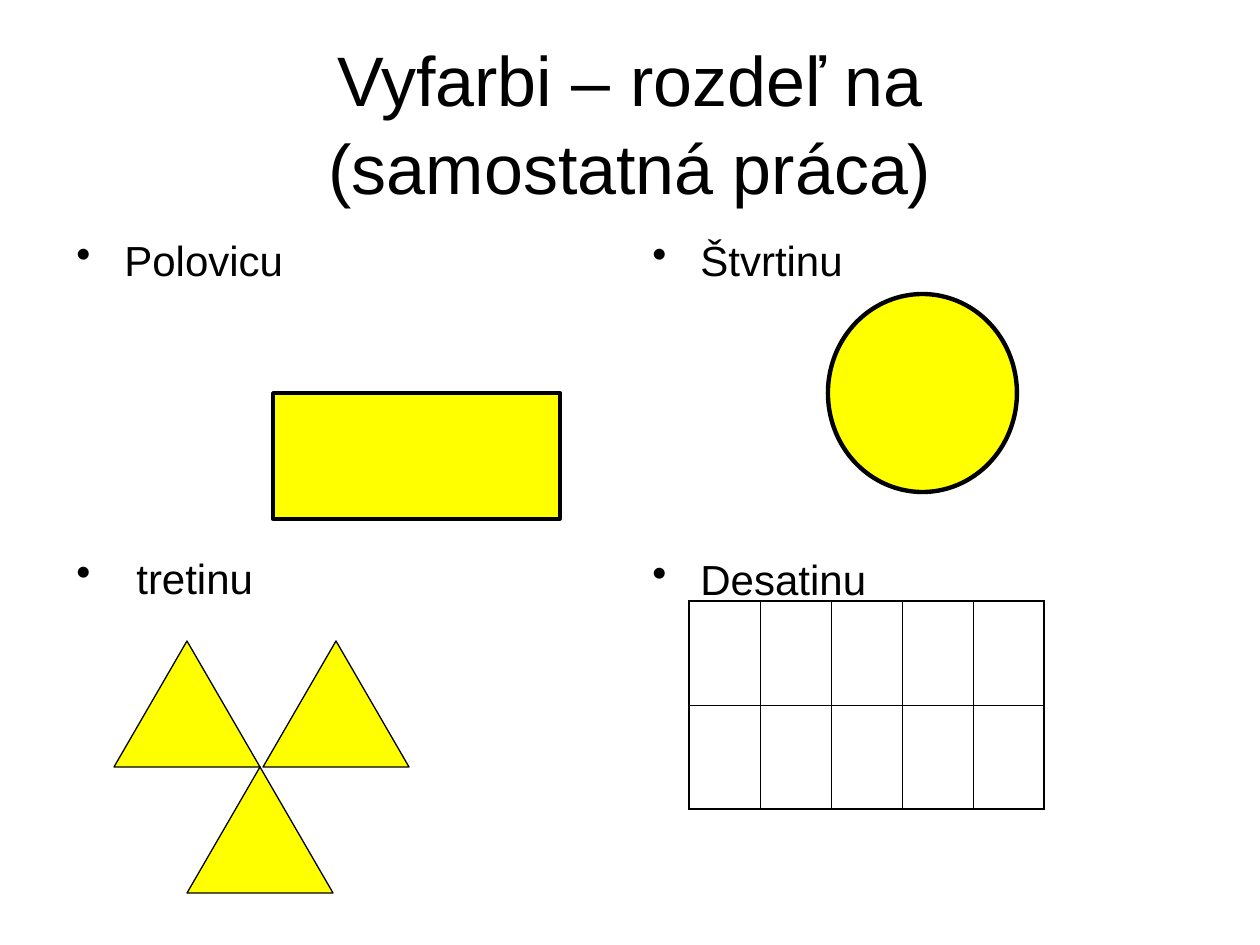
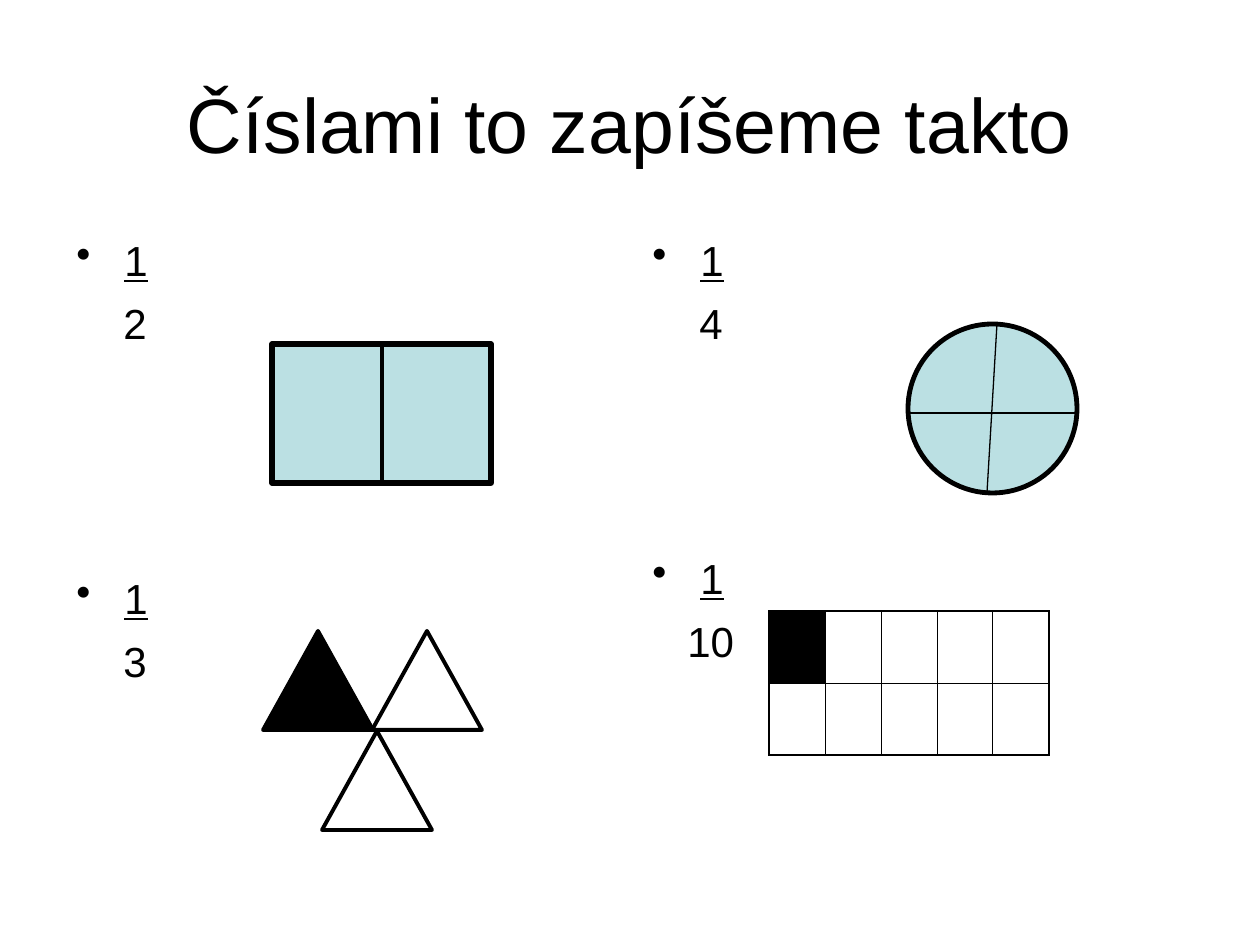
from pptx import Presentation
from pptx.dml.color import RGBColor
from pptx.enum.shapes import MSO_CONNECTOR, MSO_SHAPE
from pptx.enum.text import MSO_ANCHOR, PP_ALIGN
from pptx.oxml import parse_xml
from pptx.oxml.ns import nsdecls
from pptx.util import Pt

PX = 914400 / 126
BLACK = RGBColor(0x00, 0x00, 0x00)
WHITE = RGBColor(0xFF, 0xFF, 0xFF)
YELLOW = RGBColor(0xFF, 0xFF, 0x00)
PALE_BLUE = RGBColor(0xBB, 0xE0, 0xE3)

# Shared layout, in px
TITLE_BOX = (63, 38, 1134, 158)
LEFT_COLUMN, RIGHT_COLUMN, TOP_ROW = 64, 640, 224
ANSWER_WIDTH, ANSWER_HEIGHT = 557, 301
BULLET_INDENT = 48
LINE_SPACING = 1.05
COLUMNS, ROWS = 5, 2
OUTER_BORDER, INNER_BORDER = 1.08, 0.45

RECTANGLE, OVAL = MSO_SHAPE.RECTANGLE, MSO_SHAPE.OVAL
TRIANGLE = MSO_SHAPE.ISOSCELES_TRIANGLE

# Answers: left, top, lines of (text, indent, bulleted, underlined)
# Figures: kind, box, fill, line width
# Dividers: start x, start y, end x, end y, line width
# Grid: left, top, column width, row height, first cell fill, other fill
PAGES = [
    {
        "title": ["Vyfarbi – rozdeľ na", "(samostatná práca)"],
        "title_size": 40,
        "answers": [
            (LEFT_COLUMN, TOP_ROW, [("Polovicu", BULLET_INDENT, True, False)]),
            (RIGHT_COLUMN, TOP_ROW, [("Štvrtinu", BULLET_INDENT, True, False)]),
            (LEFT_COLUMN, 542, [("tretinu", 60, True, False)]),
            (RIGHT_COLUMN, 543, [("Desatinu", BULLET_INDENT, True, False)]),
        ],
        "figures": [
            (OVAL, (828, 294, 189, 198), YELLOW, 2.5),
            (TRIANGLE, (263, 641, 146, 126), YELLOW, 0.75),
            (TRIANGLE, (114, 641, 146, 126), YELLOW, 0.75),
            (TRIANGLE, (187, 767, 146, 126), YELLOW, 0.75),
            (RECTANGLE, (273, 393, 287, 126), YELLOW, 2),
        ],
        "dividers": [],
        "grid": (689, 601, 71, 104, None, None),
    },
    {
        "title": ["Číslami to zapíšeme takto"],
        "title_size": 44,
        "answers": [
            (left, top, [("1", BULLET_INDENT, True, True),
                         (denominator, indent, False, False)])
            for left, top, denominator, indent in [
                (LEFT_COLUMN, TOP_ROW, "2", 47),
                (RIGHT_COLUMN, TOP_ROW, "4", 47),
                (LEFT_COLUMN, 562, "3", 47),
                (RIGHT_COLUMN, 542, "10", 35),
            ]
        ],
        "figures": [
            (RECTANGLE, (272, 344, 219, 139), PALE_BLUE, 3),
            (OVAL, (908, 324, 169, 169), PALE_BLUE, 2.75),
            (TRIANGLE, (322, 731, 110, 99), WHITE, 2.25),
            (TRIANGLE, (372, 631, 110, 99), WHITE, 2.25),
            (TRIANGLE, (263, 631, 110, 99), BLACK, 2.25),
        ],
        "dividers": [
            (382, 344, 382, 483, 2.5),
            (997, 324, 987, 493, 0.75),
            (908, 413, 1077, 413, 0.75),
        ],
        "grid": (769, 611, 56, 72, BLACK, WHITE),
    },
]


def emu(*lengths):
    return [round(length * PX) for length in lengths]


def add_run(paragraph, text, size, underlined=False):
    run = paragraph.add_run()
    run.text = text
    run.font.name = "Arial"
    run.font.size = Pt(size)
    run.font.color.rgb = BLACK
    run.font.underline = underlined


presentation = Presentation()
presentation.slide_width, presentation.slide_height = emu(1260, 945)

for page in PAGES:
    slide = presentation.slides.add_slide(presentation.slide_layouts[6])

    # Title
    frame = slide.shapes.add_textbox(*emu(*TITLE_BOX)).text_frame
    frame.word_wrap = True
    frame.vertical_anchor = MSO_ANCHOR.MIDDLE
    frame.margin_top, frame.margin_bottom = emu(12, 6)
    paragraph = frame.paragraphs[0]
    paragraph.alignment = PP_ALIGN.CENTER
    paragraph.line_spacing = LINE_SPACING
    for number, line in enumerate(page["title"]):
        if number:
            paragraph.add_line_break()
        add_run(paragraph, line, page["title_size"])

    # Fraction names or numbers
    for left, top, lines in page["answers"]:
        text_box = slide.shapes.add_textbox(
            *emu(left, top, ANSWER_WIDTH, ANSWER_HEIGHT))
        frame = text_box.text_frame
        frame.word_wrap = True
        frame.margin_top = emu(8)[0]
        for number, (text, indent, bulleted, underlined) in enumerate(lines):
            paragraph = frame.add_paragraph() if number else frame.paragraphs[0]
            paragraph.line_spacing = LINE_SPACING
            paragraph.space_before = Pt(6 if number else 0)
            properties = paragraph._p.get_or_add_pPr()
            properties.set("marL", str(emu(indent)[0]))
            properties.set("indent", str(emu(-indent if bulleted else 0)[0]))
            if bulleted:
                properties.append(parse_xml(
                    f'<a:buClr {nsdecls("a")}><a:srgbClr val="{BLACK}"/></a:buClr>'))
                properties.append(parse_xml(f'<a:buChar {nsdecls("a")} char="•"/>'))
            add_run(paragraph, text, 24, underlined)

    # Figures to divide
    for kind, box, fill, width in page["figures"]:
        shape = slide.shapes.add_shape(kind, *emu(*box))
        shape.shadow.inherit = False
        shape.fill.solid()
        shape.fill.fore_color.rgb = fill
        shape.line.color.rgb = BLACK
        shape.line.width = Pt(width)

    # Dividing lines
    for *ends, width in page["dividers"]:
        connector = slide.shapes.add_connector(MSO_CONNECTOR.STRAIGHT, *emu(*ends))
        connector.line.color.rgb = BLACK
        connector.line.width = Pt(width)
        connector._element.spPr.append(parse_xml(f'<a:effectLst {nsdecls("a")}/>'))

    # Grid of tenths
    left, top, column_width, row_height, first_fill, other_fill = page["grid"]
    table = slide.shapes.add_table(ROWS, COLUMNS, *emu(
        left, top, COLUMNS * column_width, ROWS * row_height)).table
    table.first_row = table.horz_banding = False
    for row in range(ROWS):
        for column in range(COLUMNS):
            cell = table.cell(row, column)
            properties = cell._tc.get_or_add_tcPr()
            for side, outer in [("L", column == 0), ("R", column == COLUMNS - 1),
                                ("T", row == 0), ("B", row == ROWS - 1)]:
                width = Pt(OUTER_BORDER if outer else INNER_BORDER)
                properties.append(parse_xml(
                    f'<a:ln{side} {nsdecls("a")} w="{width}"><a:solidFill>'
                    f'<a:srgbClr val="{BLACK}"/></a:solidFill></a:ln{side}>'))
            fill = first_fill if row == column == 0 else other_fill
            if fill is None:
                cell.fill.background()
            else:
                cell.fill.solid()
                cell.fill.fore_color.rgb = fill

presentation.save("out.pptx")
